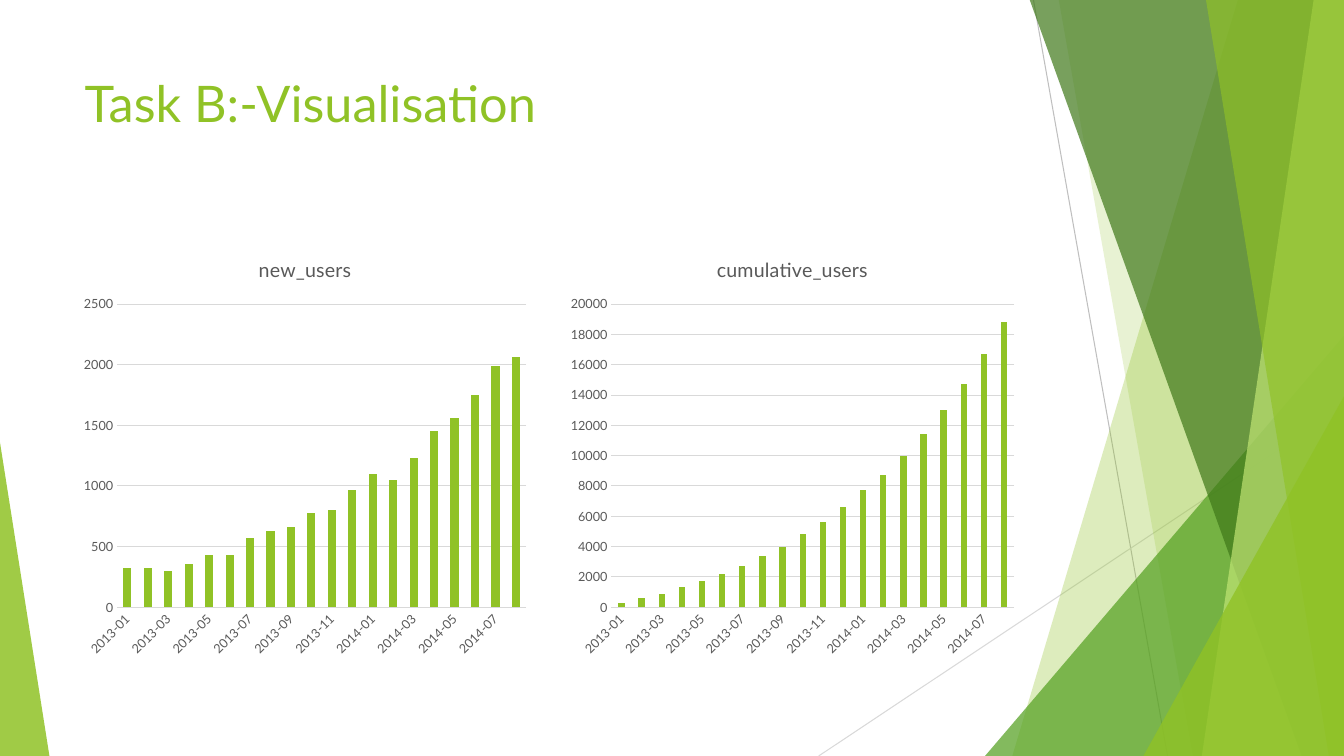
from dataclasses import dataclass

import lxml.etree
import pptx
import pptx.chart.data
import pptx.dml.color
import pptx.enum.chart
import pptx.enum.dml
import pptx.enum.shapes
import pptx.enum.text
import pptx.oxml.ns
import pptx.util
from pptx.dml.color import RGBColor
from pptx.enum.chart import XL_CHART_TYPE
from pptx.util import Inches

FONT = "Lato"
LIME = RGBColor(0x90, 0xC2, 0x26)
PALE_LIME = RGBColor(0xC0, 0xE4, 0x74)
GREEN = RGBColor(0x54, 0xA0, 0x21)
DARK_GREEN = RGBColor(0x3F, 0x78, 0x19)
TEXT_GRAY = RGBColor(0x59, 0x59, 0x59)
LINE_GRAY = RGBColor(0xBF, 0xBF, 0xBF)
GRID_GRAY = RGBColor(0xD9, 0xD9, 0xD9)
BLACK = RGBColor(0, 0, 0)
WIDTH, HEIGHT, TOP = 13.33, 7.5, -0.01


@dataclass
class Ray:
    start: tuple[float, float]
    end: tuple[float, float]
    color: RGBColor


@dataclass
class Band:
    """A four-sided band between its left edge and the right slide edge."""
    top_x: float
    bottom_x: float
    color: RGBColor
    opacity: int


@dataclass
class Wedge:
    """A right triangle standing on the bottom slide edge."""
    left: float
    top: float
    width: float
    apex: float
    color: RGBColor
    opacity: int


@dataclass
class UserChart:
    name: str
    kind: XL_CHART_TYPE
    left: float
    width: float
    gap: int
    overlap: int
    maximum: int
    step: int
    values: list[int]


RAYS = [
    Ray((10.25, 0), (11.58, HEIGHT), LINE_GRAY),
    Ray((WIDTH, 4.03), (8.12, HEIGHT), GRID_GRAY),
]
FACETS = [
    Band(12.28, 10.04, LIME, 30),
    Band(10.5, 11.83, LIME, 20),
    Wedge(9.77, 3.33, 3.56, 1, GREEN, 72),
    Band(10.21, 12.91, DARK_GREEN, 70),
    Band(13.03, 11.92, PALE_LIME, 70),
    Band(11.96, 13.18, LIME, 65),
    Wedge(11.34, 3.93, 1.99, 1, LIME, 80),
    Wedge(0, 4.39, 0.49, 0, LIME, 85),
]
MONTHS = [f"{2013 + i // 12}-{i % 12 + 1:02d}" for i in range(20)]
USER_CHARTS = [
    UserChart("new_users", XL_CHART_TYPE.COLUMN_STACKED, 0.74, 4.57, 150, 100, 2500, 500,
              [320, 320, 300, 360, 430, 430, 570, 630, 660, 780,
               800, 970, 1100, 1050, 1230, 1450, 1560, 1750, 1990, 2060]),
    UserChart("cumulative_users", XL_CHART_TYPE.COLUMN_CLUSTERED, 5.57, 4.58, 219, -27, 20000, 2000,
              [300, 600, 900, 1300, 1700, 2200, 2700, 3400, 4000, 4800,
               5600, 6600, 7700, 8700, 10000, 11400, 13000, 14700, 16700, 18800]),
]


def set_font(font: pptx.text.text.Font, size: float, color: RGBColor) -> None:
    font.name = FONT
    font.size = pptx.util.Pt(size)
    font.bold = False
    font.color.rgb = color


def set_line(line: pptx.dml.line.LineFormat, color: RGBColor) -> None:
    line.color.rgb = color
    line.width = pptx.util.Pt(0.75)


def add_ray(slide: pptx.slide.Slide, ray: Ray) -> None:
    connector = slide.shapes.add_connector(
        pptx.enum.shapes.MSO_CONNECTOR.STRAIGHT,
        *map(Inches, ray.start + ray.end))
    set_line(connector.line, ray.color)
    properties = connector.element.spPr
    lxml.etree.SubElement(properties, pptx.oxml.ns.qn("a:effectLst"))


def add_facet(slide: pptx.slide.Slide, facet: Band | Wedge) -> None:
    if isinstance(facet, Band):
        corners = [(WIDTH, TOP), (WIDTH, HEIGHT), (facet.bottom_x, HEIGHT)]
        outline = slide.shapes.build_freeform(Inches(facet.top_x), Inches(TOP))
        outline.add_line_segments([(Inches(x), Inches(y)) for x, y in corners])
        shape = outline.convert_to_shape()
    else:
        shape = slide.shapes.add_shape(
            pptx.enum.shapes.MSO_SHAPE.ISOSCELES_TRIANGLE,
            Inches(facet.left), Inches(facet.top),
            Inches(facet.width), Inches(HEIGHT - facet.top))
        shape.adjustments[0] = facet.apex
    shape.shadow.inherit = False
    shape.line.fill.background()
    shape.fill.solid()
    shape.fill.fore_color.rgb = facet.color
    color = shape.element.spPr.find(".//" + pptx.oxml.ns.qn("a:srgbClr"))
    alpha = lxml.etree.SubElement(color, pptx.oxml.ns.qn("a:alpha"))
    alpha.set("val", str(facet.opacity * 1000))


def add_user_chart(slide: pptx.slide.Slide, users: UserChart) -> None:
    data = pptx.chart.data.CategoryChartData()
    data.categories = MONTHS
    data.add_series(users.name, users.values)
    chart = slide.shapes.add_chart(
        users.kind, Inches(users.left), Inches(2.36),
        Inches(users.width), Inches(4.24), data).chart
    set_font(chart.font, 10, BLACK)
    chart.has_legend = False
    chart.has_title = True
    heading = chart.chart_title.text_frame.paragraphs[0].add_run()
    heading.text = users.name
    set_font(heading.font, 14, TEXT_GRAY)
    chart.chart_title.include_in_layout = False

    plot = chart.plots[0]
    plot.vary_by_categories = False
    plot.gap_width = users.gap
    plot.overlap = users.overlap
    columns = plot.series[0].format.fill
    columns.solid()
    columns.fore_color.rgb = LIME

    months, counts = chart.category_axis, chart.value_axis
    for axis in (months, counts):
        axis.major_tick_mark = pptx.enum.chart.XL_TICK_MARK.NONE
        axis.minor_tick_mark = pptx.enum.chart.XL_TICK_MARK.NONE
        set_font(axis.tick_labels.font, 9, TEXT_GRAY)
    set_line(months.format.line, GRID_GRAY)
    label_body = months._element.find(".//" + pptx.oxml.ns.qn("a:bodyPr"))
    label_body.set("rot", str(-45 * 60000))
    counts.format.line.fill.background()
    set_line(counts.major_gridlines.format.line, GRID_GRAY)
    counts.minimum_scale = 0
    counts.maximum_scale = users.maximum
    counts.major_unit = users.step


def add_title(slide: pptx.slide.Slide, wording: str) -> None:
    title = slide.shapes.title
    title.left, title.top = Inches(0.74), Inches(0.67)
    title.width, title.height = Inches(9.4), Inches(1.44)
    title.text_frame.vertical_anchor = pptx.enum.text.MSO_ANCHOR.TOP
    paragraph = title.text_frame.paragraphs[0]
    paragraph.alignment = pptx.enum.text.PP_ALIGN.LEFT
    run = paragraph.add_run()
    run.text = wording
    set_font(run.font, 36, LIME)


def main() -> None:
    deck = pptx.Presentation()
    deck.slide_width, deck.slide_height = Inches(WIDTH), Inches(HEIGHT)
    slide = deck.slides.add_slide(deck.slide_layouts.get_by_name("Title Only"))
    for ray in RAYS:
        add_ray(slide, ray)
    for facet in FACETS:
        add_facet(slide, facet)
    add_title(slide, "Task B:-Visualisation")
    for users in USER_CHARTS:
        add_user_chart(slide, users)
    deck.save("out.pptx")


if __name__ == "__main__":
    main()
